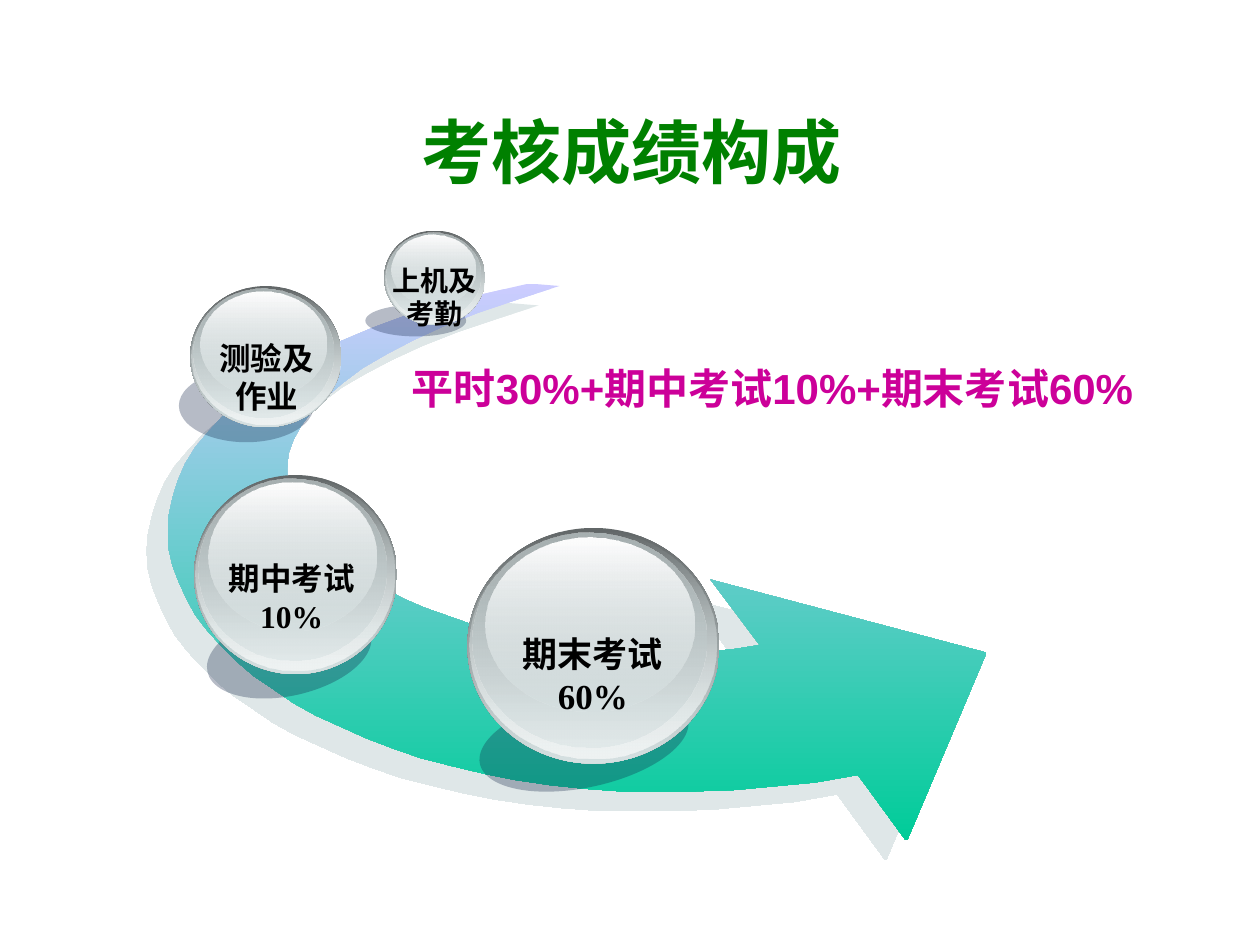
from dataclasses import dataclass

from lxml.etree import SubElement
from pptx import Presentation
from pptx.dml.color import RGBColor
from pptx.enum.shapes import MSO_SHAPE
from pptx.enum.text import MSO_ANCHOR, MSO_AUTO_SIZE, PP_ALIGN
from pptx.oxml.ns import qn
from pptx.util import Inches, Pt

COLORS = {
    "title": "008000", "formula": "CC0099", "label": "000000",
    "arrow_start": "CCCCFF", "arrow_end": "00CC99", "arrow_shadow": "C1D1D3",
    "ball_shadow": "0F2145", "edge": "626768", "glass": "D6E1E2",
    "rim": "EFF3F3", "body": "A8B1B2", "shine": "FEFEFE",
}
SERIF, SANS = "Times New Roman", "Arial"
Box = tuple[float, float, float, float]


@dataclass
class Layer:
    """One ellipse of a ball: box as fractions of the ball, then its gradient."""
    box: Box
    colors: tuple[str, str]
    alphas: tuple[int, int] = (100, 100)


@dataclass
class Line:
    text: str
    font: str = SERIF


@dataclass
class Ball:
    box: Box
    shadow: Box
    rotation: float
    label: Box
    size: int
    lines: tuple[Line, ...]
    wrap: bool = False
    one_paragraph: bool = False


LAYERS = [
    Layer((0, 0, 1, 1), ("edge", "glass")),
    Layer((0.01, 0.01, 0.98, 0.97), ("glass", "rim"), (0, 100)),
    Layer((0.02, 0.02, 0.93, 0.91), ("body", "glass"), (100, 48)),
    Layer((0.07, 0.04, 0.83, 0.74), ("shine", "glass"), (100, 38)),
]
BALLS = [
    Ball((3.71, 4.19, 2, 1.87), (3.79, 5.52, 1.69, 0.73), 347.9,
         (4.05, 4.97, 1.31, 0.77), 20,
         (Line("期末考试", SANS), Line("60%")), one_paragraph=True),
    Ball((1.54, 3.77, 1.61, 1.58), (1.63, 4.85, 1.33, 0.67), 347.1,
         (1.67, 4.39, 1.29, 0.7), 18, (Line("期中考试"), Line("10%")), wrap=True),
    Ball((1.51, 2.27, 1.2, 1.12), (1.42, 2.93, 1.07, 0.58), 0,
         (1.64, 2.64, 0.95, 0.7), 18, (Line("测验及"), Line("作业"))),
    Ball((3.05, 1.83, 0.8, 0.75), (2.9, 2.42, 0.8, 0.25), 0,
         (3.02, 2.04, 0.86, 0.64), 16,
         (Line("上机及"), Line("考勤")), one_paragraph=True),
]
# Arrow outline in hundredths of an inch: outer curve, head, inner curve
ARROW = [
    (420, 225), (385, 233), (353, 241), (323, 250), (296, 260), (270, 271),
    (247, 281), (227, 293), (208, 304), (192, 317), (178, 329), (166, 342),
    (155, 355), (147, 368), (141, 382), (137, 395), (134, 409), (133, 422),
    (134, 436), (137, 449), (142, 462), (148, 475), (155, 488), (165, 501),
    (176, 513), (188, 525), (202, 537), (217, 547), (233, 558), (251, 568),
    (271, 577), (291, 586), (312, 594), (335, 602), (359, 608), (384, 614),
    (409, 619), (436, 623), (464, 626), (492, 628), (522, 628), (552, 628),
    (583, 627), (615, 624), (647, 621), (681, 615),
    (719, 667), (720, 667), (783, 518), (564, 460), (603, 512),
    (584, 515), (565, 517), (545, 519), (526, 519), (506, 518), (486, 517),
    (466, 515), (446, 512), (427, 509), (407, 505), (389, 500), (370, 494),
    (353, 488), (336, 482), (320, 475), (305, 467), (291, 459), (278, 450),
    (267, 442), (256, 432), (247, 423), (240, 413), (234, 402), (230, 392),
    (228, 382), (228, 371), (229, 360), (233, 349), (239, 338), (248, 326),
    (259, 315), (272, 304), (288, 292), (307, 281), (328, 270), (352, 259),
    (380, 248), (410, 238), (444, 227),
]


def rgb(name: str) -> RGBColor:
    return RGBColor.from_string(COLORS[name])


def set_alphas(shape, alphas: tuple[int, ...]) -> None:
    for color, alpha in zip(shape._element.spPr.iter(qn("a:srgbClr")), alphas):
        if alpha < 100:
            SubElement(color, qn("a:alpha")).set("val", str(alpha * 1000))


def fill_gradient(shape, colors: tuple[str, str], alphas=(100, 100)) -> None:
    """Fill from top to bottom, without outline or theme shadow."""
    shape.fill.gradient()
    shape.fill.gradient_angle = 270
    for stop, color, position in zip(shape.fill.gradient_stops, colors, (0, 1)):
        stop.color.rgb = rgb(color)
        stop.position = position
    set_alphas(shape, alphas)
    shape.line.fill.background()
    shape.shadow.inherit = False


def add_ellipse(slide, box: Box):
    return slide.shapes.add_shape(MSO_SHAPE.OVAL, *map(Inches, box))


def add_run(paragraph, text: str, font: str, size: int, color: str) -> None:
    run = paragraph.add_run()
    run.text = text
    run.font.name, run.font.size, run.font.bold = font, Pt(size), True
    run.font.color.rgb = rgb(color)


def add_text_frame(slide, box: Box, wrap: bool):
    frame = slide.shapes.add_textbox(*map(Inches, box)).text_frame
    frame.word_wrap = wrap
    frame.auto_size = MSO_AUTO_SIZE.SHAPE_TO_FIT_TEXT
    return frame


def add_arrow(slide) -> None:
    builder = slide.shapes.build_freeform(*ARROW[0], scale=Inches(0.01))
    builder.add_line_segments(ARROW[1:], close=True)
    shape = builder.convert_to_shape()
    fill_gradient(shape, ("arrow_start", "arrow_end"))
    effects = shape._element.spPr.find(qn("a:effectLst"))
    shadow = SubElement(effects, qn("a:outerShdw"), blurRad="0",
                        dist=str(Pt(16.3)), dir=str(137 * 60000),
                        algn="ctr", rotWithShape="0")
    color = SubElement(shadow, qn("a:srgbClr"), val=COLORS["arrow_shadow"])
    SubElement(color, qn("a:alpha"), val="50000")


def add_ball(slide, ball: Ball) -> None:
    # Cast shadow
    shadow = add_ellipse(slide, ball.shadow)
    shadow.rotation = ball.rotation
    shadow.fill.solid()
    shadow.fill.fore_color.rgb = rgb("ball_shadow")
    set_alphas(shadow, (30,))
    shadow.line.fill.background()
    shadow.shadow.inherit = False

    # Glass layers
    left, top, width, height = ball.box
    for layer in LAYERS:
        x, y, w, h = layer.box
        ellipse = add_ellipse(slide, (left + x * width, top + y * height,
                                      w * width, h * height))
        fill_gradient(ellipse, layer.colors, layer.alphas)

    # Label, with narrow side margins so each line stays whole
    frame = add_text_frame(slide, ball.label, ball.wrap)
    frame.margin_left = frame.margin_right = Inches(0.05)
    paragraph = frame.paragraphs[0]
    for index, line in enumerate(ball.lines):
        if index and ball.one_paragraph:
            paragraph.add_line_break()
        elif index:
            paragraph = frame.add_paragraph()
        paragraph.alignment = PP_ALIGN.CENTER
        add_run(paragraph, line.text, line.font, ball.size, "label")


def main() -> None:
    presentation = Presentation()
    presentation.slide_width, presentation.slide_height = Inches(10), Inches(7.5)
    slide = presentation.slides.add_slide(presentation.slide_layouts[5])

    # Title
    title = slide.shapes.title
    title.left, title.top = Inches(0.51), Inches(0.76)
    title.width, title.height = Inches(9), Inches(0.87)
    title.text_frame.vertical_anchor = MSO_ANCHOR.MIDDLE
    heading = title.text_frame.paragraphs[0]
    heading.alignment = PP_ALIGN.CENTER
    add_run(heading, "考核成绩构成", SERIF, 40, "title")

    # Curved arrow with the four balls
    add_arrow(slide)
    for ball in BALLS:
        add_ball(slide, ball)

    # Grade formula
    formula = add_text_frame(slide, (3.17, 2.83, 6.25, 0.9), wrap=True)
    add_run(formula.paragraphs[0], "平时30%+期中考试10%+期末考试60%", SANS, 24, "formula")

    presentation.save("out.pptx")


if __name__ == "__main__":
    main()
